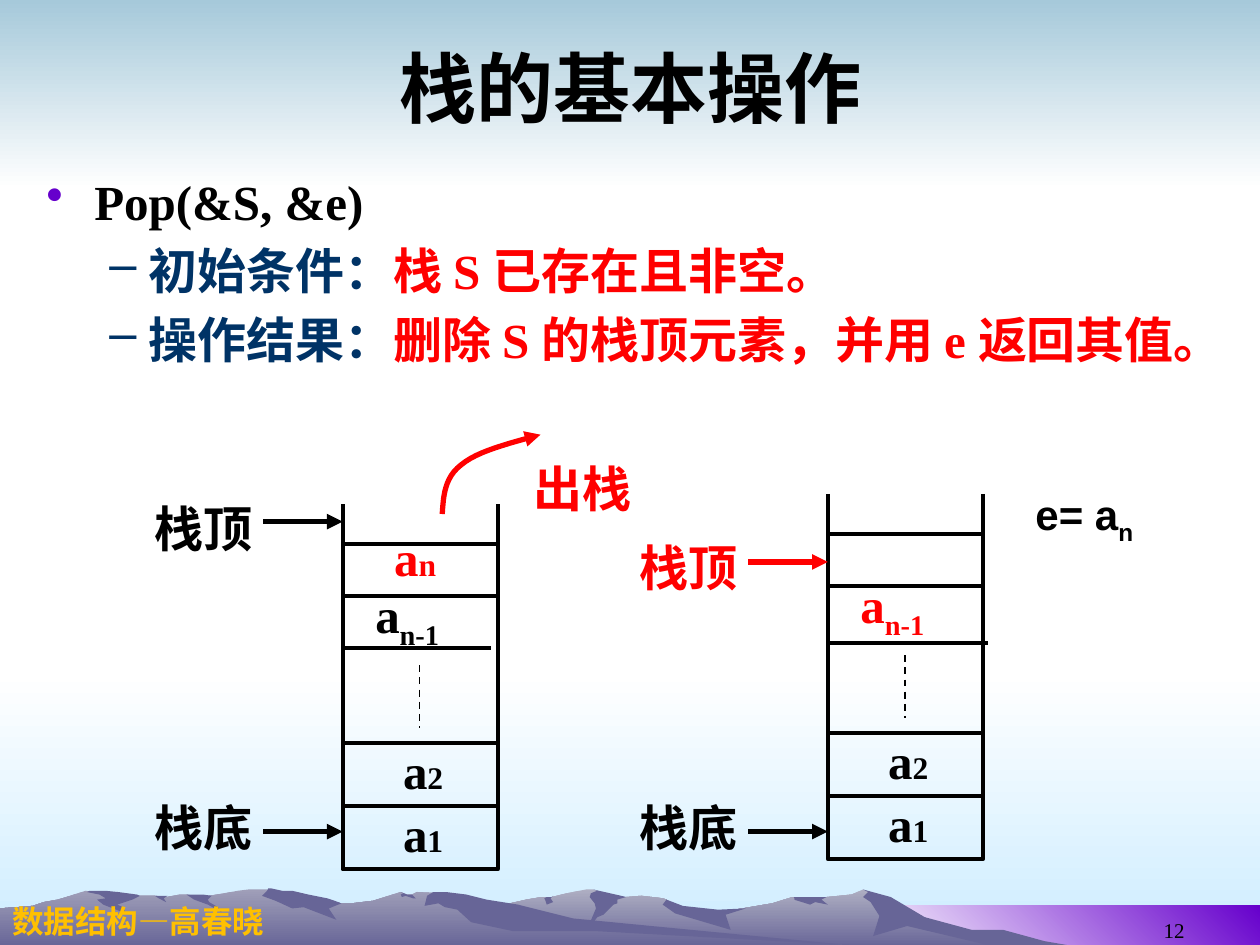
from lxml import etree
from pptx import Presentation
from pptx.dml.color import RGBColor
from pptx.enum.dml import MSO_LINE
from pptx.enum.shapes import MSO_CONNECTOR, MSO_SHAPE
from pptx.enum.text import MSO_ANCHOR, PP_ALIGN
from pptx.oxml.ns import qn
from pptx.util import Inches, Pt

RECT, STRAIGHT, DASH = MSO_SHAPE.RECTANGLE, MSO_CONNECTOR.STRAIGHT, MSO_LINE.DASH
LEFT, CENTER, RIGHT = PP_ALIGN.LEFT, PP_ALIGN.CENTER, PP_ALIGN.RIGHT
TOP, MIDDLE, BOTTOM = MSO_ANCHOR.TOP, MSO_ANCHOR.MIDDLE, MSO_ANCHOR.BOTTOM

BLACK = RGBColor(0, 0, 0)
WHITE = RGBColor(255, 255, 255)
RED = RGBColor(255, 0, 0)
NAVY = RGBColor(0, 0x33, 0x66)
GOLD = RGBColor(0xFF, 0xC0, 0)
PURPLE = RGBColor(0x66, 0, 0xCC)
SKY = RGBColor(0xA6, 0xC9, 0xDA)
ICE = RGBColor(0xCC, 0xEC, 0xFF)
ROCK = RGBColor(0x67, 0x65, 0x97)
ROCK_LIGHT = RGBColor(0xAE, 0xAE, 0xC2)
ROCK_MID = RGBColor(0x9F, 0x9E, 0xB8)

SERIF, SANS, CJK = "Times New Roman", "Arial", "Noto Sans CJK SC"

# Outlines in hundredths of an inch: x, y, x, y, ...
FAR_RIDGE = (
    802, 746, 778, 740, 764, 738, 723, 725, 702, 712, 685, 706, 676, 710, 656, 712, 629, 712,
    613, 717, 566, 725, 536, 721, 529, 714, 526, 713, 509, 711, 497, 712, 486, 713, 474, 707,
    471, 706, 465, 706, 450, 709, 438, 712, 430, 712, 418, 714, 405, 717, 394, 719, 355, 725,
    327, 731, 277, 745, 258, 752, 821, 752)
NEAR_RIDGE = (
    690, 752, 667, 750, 432, 732, 354, 709, 331, 708, 327, 710, 323, 710, 318, 708, 296, 715,
    279, 717, 271, 717, 260, 715, 236, 717, 223, 708, 219, 707, 212, 706, 197, 706, 189, 707,
    178, 709, 160, 712, 148, 710, 143, 710, 132, 712, 123, 711, 111, 711, 94, 712, 68, 707,
    56, 711, 46, 714, 35, 716, 26, 719, 14, 720, 0, 721, 0, 752)
FAR_SHADES = (
    (796, 738, 771, 738, 734, 728, 707, 712, 685, 706, 689, 708, 685, 712, 691, 716, 698, 727,
     693, 743, 720, 735, 792, 752, 858, 752, 829, 747),
    (471, 706, 474, 707, 469, 709, 468, 712, 472, 717, 473, 721, 465, 740, 474, 728, 479, 726,
     487, 718, 490, 717, 490, 714, 497, 712, 493, 711),
    (529, 714, 526, 718, 536, 725, 580, 738, 576, 726, 592, 721, 570, 722, 542, 719),
    (650, 712, 630, 712, 631, 714, 630, 714, 643, 718, 647, 716, 657, 718, 652, 714, 656, 712),
    (433, 715, 432, 713, 434, 712, 438, 712, 439, 711, 437, 713, 439, 716, 434, 718),
)
NEAR_SHADES = (
    (212, 707, 208, 711, 219, 715, 232, 721, 241, 720, 267, 730, 261, 721, 271, 717, 266, 715,
     260, 713, 245, 710, 232, 707, 224, 707, 215, 705, 213, 705),
    (370, 710, 354, 708, 344, 708, 339, 711, 337, 719, 348, 717, 353, 720, 363, 722, 374, 732,
     407, 739, 472, 739, 690, 751, 683, 751, 455, 729, 427, 722, 411, 718, 386, 714),
    (318, 710, 320, 709, 318, 708, 323, 710, 327, 710, 330, 713, 328, 713, 322, 711, 319, 712),
    (154, 710, 161, 710, 168, 711, 165, 714, 166, 716, 173, 720, 176, 724, 165, 718, 154, 714,
     148, 710),
    (133, 711, 130, 713, 132, 716, 126, 713, 123, 711),
    (109, 710, 111, 711, 105, 714, 93, 718, 98, 720, 100, 725, 82, 718, 77, 714, 84, 713,
     79, 710, 69, 708, 71, 707, 84, 707, 94, 708),
)


def paint(sp, *colors, angle=270):
    """Fill with one colour, or with a gradient between two."""
    sp.shadow.inherit = False
    sp.line.fill.background()
    if len(colors) == 1:
        sp.fill.solid()
        sp.fill.fore_color.rgb = colors[0]
        return
    sp.fill.gradient()
    sp.fill.gradient_angle = angle
    for stop, color in zip(sp.fill.gradient_stops, colors):
        stop.color.rgb = color


def add_band(s, box, *colors, angle=270):
    paint(s.shapes.add_shape(RECT, *map(Inches, box)), *colors, angle=angle)


def add_outline(s, points, close=True):
    """Draw a freeform through points given in inches."""
    pts = [(Inches(x), Inches(y)) for x, y in points]
    builder = s.shapes.build_freeform(*pts[0], scale=1)
    builder.add_line_segments(pts[1:], close=close)
    return builder.convert_to_shape()


def add_rock(s, coords, *colors):
    pairs = zip(coords[::2], coords[1::2])
    paint(add_outline(s, [(x / 100, y / 100) for x, y in pairs]), *colors)


def style_line(sp, color, width, arrow=False):
    sp.line.color.rgb = color
    sp.line.width = Pt(width)
    if arrow:
        etree.SubElement(sp.line._get_or_add_ln(), qn("a:tailEnd"), type="triangle")


def add_line(s, x1, y1, x2, y2, color=BLACK, width=2.25, arrow=False, dash=None):
    sp = s.shapes.add_connector(STRAIGHT, *map(Inches, (x1, y1, x2, y2)))
    style_line(sp, color, width, arrow)
    if dash:
        sp.line.dash_style = dash
    etree.SubElement(sp._element.spPr, qn("a:effectLst"))


def add_run(p, text, size=28, color=BLACK, font=SERIF, bold=True, baseline=None):
    r = p.add_run()
    r.text = text
    for name, value in {"size": Pt(size), "name": font, "bold": bold}.items():
        setattr(r.font, name, value)
    r.font.color.rgb = color
    if font == CJK:
        etree.SubElement(r._r.get_or_add_rPr(), qn("a:ea"), typeface=font)
    if baseline:
        r._r.get_or_add_rPr().set("baseline", str(baseline * 1000))


def add_text(s, box, *runs, align=LEFT, anchor=TOP):
    """Add a text box; each run is a dict of add_run arguments."""
    tf = s.shapes.add_textbox(*map(Inches, box)).text_frame
    tf.word_wrap = True
    tf.vertical_anchor = anchor
    p = tf.paragraphs[0]
    p.alignment = align
    for run in runs:
        add_run(p, **run)
    return tf


def add_bullet(p, char, margin, indent, color=None):
    pPr = p._p.get_or_add_pPr()
    pPr.set("marL", str(Inches(margin)))
    pPr.set("indent", str(Inches(indent)))
    if color:
        clr = etree.SubElement(pPr, qn("a:buClr"))
        etree.SubElement(clr, qn("a:srgbClr"), val=str(color))
    etree.SubElement(pPr, qn("a:buChar"), char=char)


def add_background(s):
    add_band(s, (0, 5.33, 10, 2.17), WHITE, ICE)
    add_band(s, (0, 0, 10, 1.5), SKY, WHITE)
    add_band(s, (6.83, 7.19, 3.17, 0.33), WHITE, PURPLE, angle=45)
    for ridge, light, shades in ((FAR_RIDGE, ROCK_LIGHT, FAR_SHADES),
                                 (NEAR_RIDGE, ROCK_MID, NEAR_SHADES)):
        add_rock(s, ridge, light, ROCK)
        for shade in shades:
            add_rock(s, shade, ROCK)


def add_body(s):
    tf = add_text(s, (0.27, 1.31, 9.45, 5.67), {"text": "Pop(&S, &e)"})
    add_bullet(tf.paragraphs[0], "•", 0.38, -0.38, PURPLE)
    for label, text in (("初始条件：", "栈 S 已存在且非空。"),
                        ("操作结果：", "删除 S 的栈顶元素，并用 e 返回其值。")):
        p = tf.add_paragraph()
        p.level = 1
        p.space_before = Pt(6)
        add_bullet(p, "–", 0.81, -0.31)
        add_run(p, label, color=NAVY)
        add_run(p, text, color=RED)


def add_stack(s, left, top, split, split_width, color):
    """Draw a stack; split is the depth of the line under a(n-1)."""
    width = 1.23
    sp = s.shapes.add_shape(RECT, *map(Inches, (left, top, width, 2.58)))
    sp.shadow.inherit = False
    sp.fill.background()
    style_line(sp, BLACK, 2.25)
    for depth, length in ((0.41, width), (split, split_width), (1.58, width), (2.08, width)):
        add_line(s, left, top + depth, left + length, top + depth)
    for x in (left, left + width):
        add_line(s, x, top - 0.32, x, top + 0.03)
    add_line(s, left + 0.61, top + 0.96, left + 0.61, top + 1.46, width=1, dash=DASH)
    for depth, index in ((1.51, "2"), (2.01, "1")):
        add_text(s, (left + 0.38, top + depth, 0.62, 0.57),
                 {"text": "a"}, {"text": index, "size": 18})
    add_text(s, (left + 0.16, top + 0.27, 1.02, 0.57), {"text": "a", "color": color},
             {"text": "n-1", "color": color, "baseline": -25})


def add_pointer(s, text, stack_left, label_top, arrow_y, color=BLACK):
    add_text(s, (stack_left - 1.97, label_top, 1.35, 0.57),
             {"text": text, "font": CJK, "color": color}, align=RIGHT)
    add_line(s, stack_left - 0.63, arrow_y, stack_left, arrow_y, color, 3, arrow=True)


def add_pop_arrow(s):
    curves = (((3.51, 4.08), (3.52, 3.93), (3.53, 3.79), (3.66, 3.69)),
              ((3.66, 3.69), (3.79, 3.58), (4.04, 3.52), (4.29, 3.45)))
    steps = [i / 12 for i in range(13)]
    points = [tuple((1 - t) ** 3 * a + 3 * (1 - t) ** 2 * t * b + 3 * (1 - t) * t ** 2 * c
                    + t ** 3 * d for a, b, c, d in zip(*curve))
              for curve in curves for t in steps]
    sp = add_outline(s, points, close=False)
    sp.shadow.inherit = False
    sp.fill.background()
    style_line(sp, RED, 3, arrow=True)


def main():
    prs = Presentation()
    prs.slide_width, prs.slide_height = Inches(10), Inches(7.5)
    s = prs.slides.add_slide(prs.slide_layouts[6])
    add_background(s)
    add_text(s, (0, 7.11, 3.05, 0.4),
             {"text": "数据结构—高春晓", "size": 18, "font": SANS, "color": GOLD})
    add_text(s, (7.17, 7.03, 2.33, 0.5), {"text": "12", "size": 12, "bold": False},
             align=RIGHT, anchor=BOTTOM)
    add_text(s, (0.51, 0.13, 9, 1.12), {"text": "栈的基本操作", "size": 44},
             align=CENTER, anchor=MIDDLE)
    add_body(s)

    before, after = 2.72, 6.57
    add_stack(s, before, 4.32, 0.82, 1.18, BLACK)
    add_text(s, (3.03, 4.14, 0.62, 0.57), {"text": "a", "color": RED},
             {"text": "n", "size": 18, "color": RED})
    add_stack(s, after, 4.24, 0.86, 1.27, RED)
    add_pointer(s, "栈顶", before, 3.91, 4.14)
    add_pointer(s, "栈顶", after, 4.22, 4.46, RED)
    for left in (before, after):
        add_pointer(s, "栈底", left, 6.28, 6.6)
    add_text(s, (4.03, 3.59, 1.18, 0.57), {"text": "出栈", "font": CJK, "color": RED},
             align=CENTER)
    add_pop_arrow(s)
    add_text(s, (8.12, 3.83, 1.33, 0.51), {"text": "e= a", "size": 24, "font": SANS},
             {"text": "n", "size": 24, "font": SANS, "baseline": -25})
    prs.save("out.pptx")


if __name__ == "__main__":
    main()
